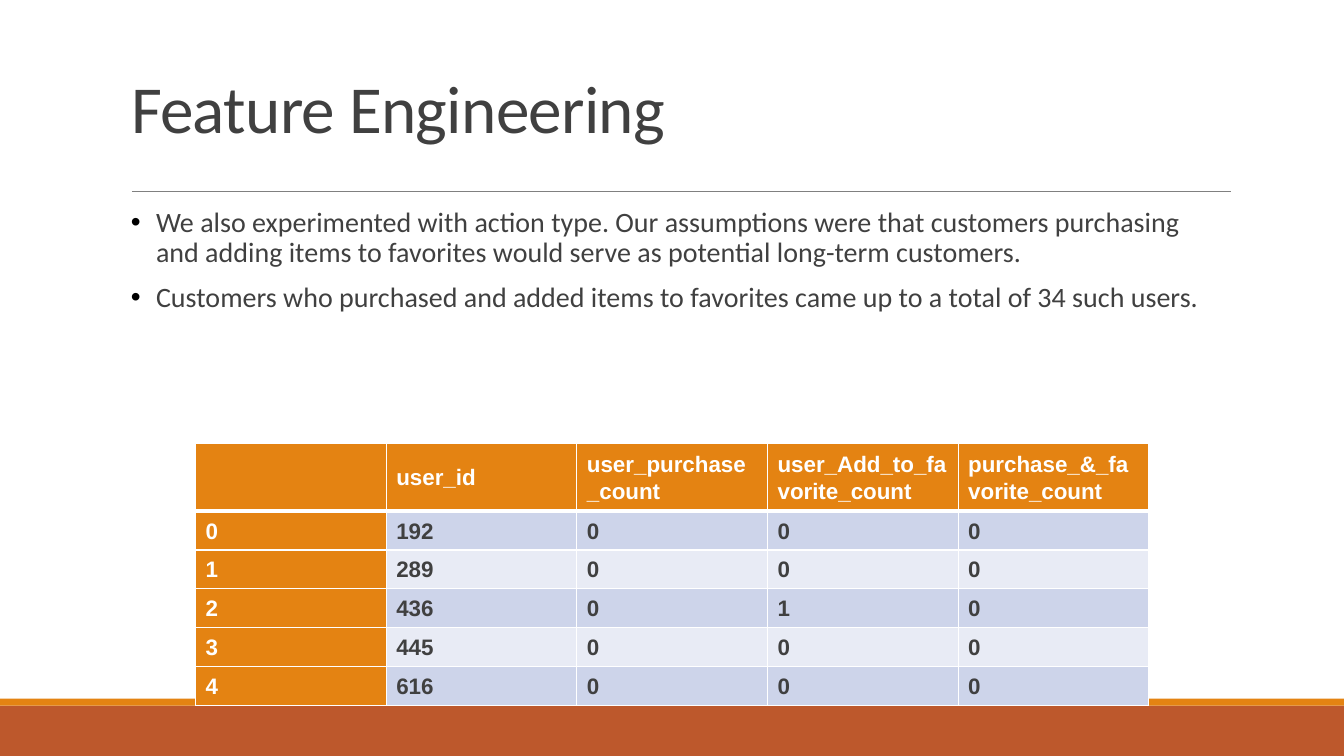
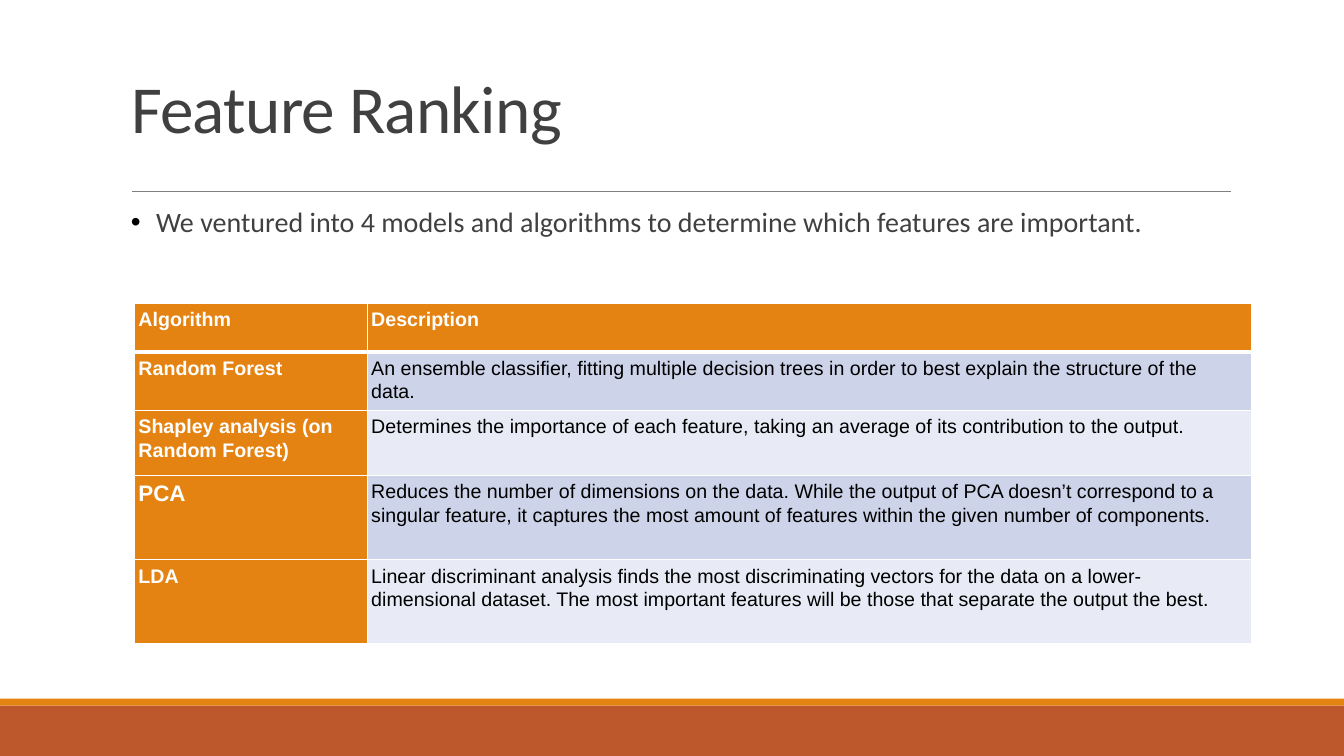
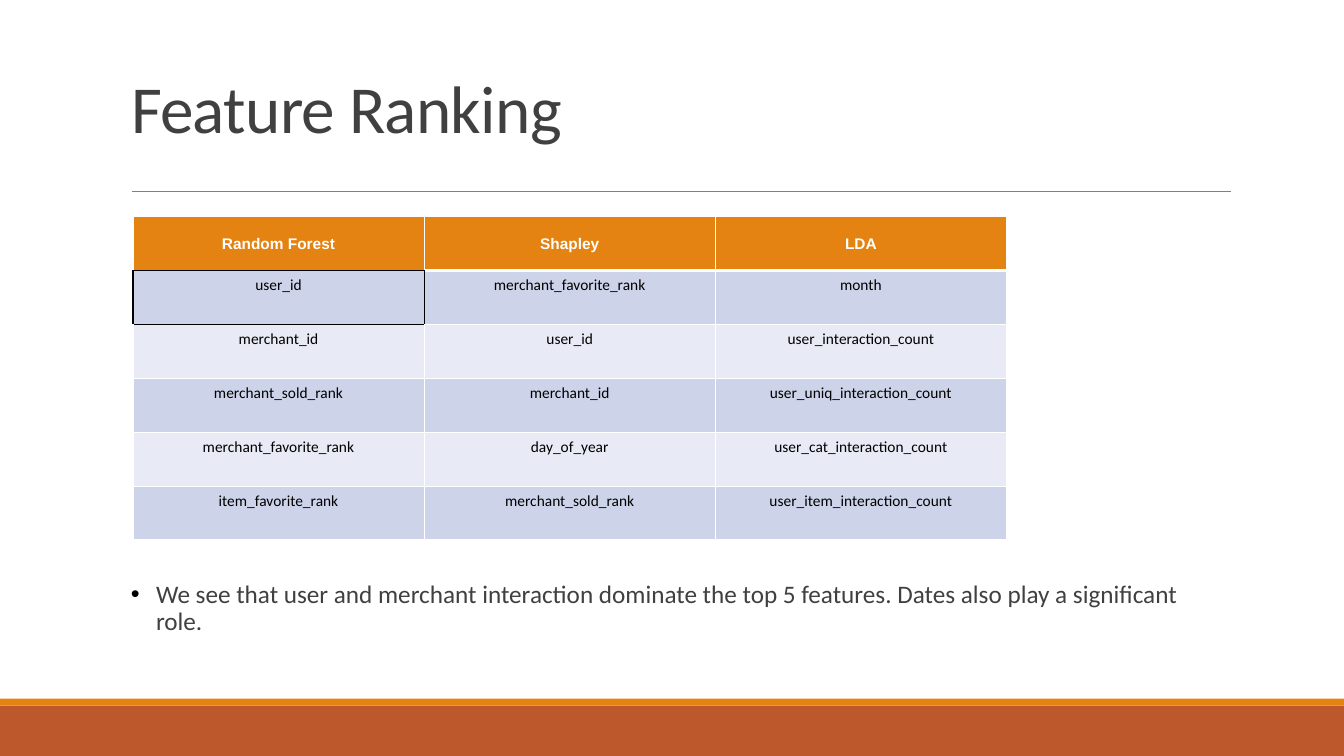
from lxml.etree import SubElement
from pptx import Presentation
from pptx.dml.color import RGBColor
from pptx.enum.shapes import MSO_CONNECTOR, MSO_SHAPE
from pptx.enum.text import MSO_ANCHOR, MSO_AUTO_SIZE, PP_ALIGN
from pptx.oxml.ns import qn
from pptx.util import Pt

# Palette
WHITE = RGBColor(0xFF, 0xFF, 0xFF)
BLACK = RGBColor(0x00, 0x00, 0x00)
DARK = RGBColor(0x40, 0x40, 0x40)
GRAY = RGBColor(0x80, 0x80, 0x80)
ORANGE = RGBColor(0xE4, 0x83, 0x12)
RUST = RGBColor(0xBD, 0x58, 0x2C)
BAND_DARK = RGBColor(0xCD, 0xD4, 0xEA)
BAND_LIGHT = RGBColor(0xE8, 0xEB, 0xF5)

# Page geometry
WIDTH, HEIGHT = 960, 540
LEFT, CONTENT_W = 86.4, 792
RULE_X1, RULE_X2, RULE_Y = 94.3, 879.1, 136.8
BODY_TOP = 145.4

# Text formats
TITLE = {"name": "Calibri", "size": Pt(48), "bold": False}
BODY = {"name": "Calibri", "size": Pt(20), "bold": False}
HEAD = {"name": "Arial", "size": Pt(16), "bold": True}

# Neighbour (row, column) across each cell side
SIDES = {"L": (0, -1), "R": (0, 1), "T": (-1, 0), "B": (1, 0)}


def set_attrs(obj, values):
    for name, value in values.items():
        setattr(obj, name, value)


def format_run(r, fmt, color):
    set_attrs(r.font, fmt)
    r.font.color.rgb = color


def add_xml_color(parent, color):
    fill = SubElement(parent, qn("a:solidFill"))
    SubElement(fill, qn("a:srgbClr"), val=str(color))


def add_band(s, top, height, color):
    sp = s.shapes.add_shape(MSO_SHAPE.RECTANGLE, 0, Pt(top), Pt(WIDTH), Pt(height))
    sp.shadow.inherit = False
    sp.fill.solid()
    sp.fill.fore_color.rgb = color
    sp.line.fill.background()


def add_rule(s):
    line = s.shapes.add_connector(MSO_CONNECTOR.STRAIGHT, Pt(RULE_X1), Pt(RULE_Y),
                                  Pt(RULE_X2), Pt(RULE_Y))
    line.line.color.rgb = GRAY
    line.line.width = Pt(0.5)
    SubElement(line._element.spPr, qn("a:effectLst"))


def add_slide(prs, title):
    """Title slide frame: bands, rule and formatted title."""
    s = prs.slides.add_slide(prs.slide_layouts[5])
    add_band(s, 504, 36, RUST)
    add_band(s, 499, 5, ORANGE)
    add_rule(s)
    sp = s.shapes.title
    set_attrs(sp, {"left": Pt(LEFT), "top": Pt(22.3),
                   "width": Pt(CONTENT_W), "height": Pt(114.5)})
    tf = sp.text_frame
    set_attrs(tf, {"text": title, "word_wrap": True, "auto_size": MSO_AUTO_SIZE.NONE,
                   "vertical_anchor": MSO_ANCHOR.MIDDLE})
    p = tf.paragraphs[0]
    set_attrs(p, {"alignment": PP_ALIGN.LEFT, "line_spacing": 0.9})
    r = p.runs[0]
    format_run(r, TITLE, DARK)
    r._r.get_or_add_rPr().set("spc", "-50")
    return s


def add_bullets(s, texts, top, height, size=20):
    tf = s.shapes.add_textbox(Pt(LEFT), Pt(top), Pt(CONTENT_W), Pt(height)).text_frame
    tf.word_wrap = True
    for i, text in enumerate(texts):
        p = tf.add_paragraph() if i else tf.paragraphs[0]
        set_attrs(p, {"line_spacing": 0.9, "space_before": Pt(10 if i else 0)})
        pPr = p._p.get_or_add_pPr()
        pPr.set("marL", str(Pt(18)))
        pPr.set("indent", str(-Pt(18)))
        SubElement(SubElement(pPr, qn("a:buClr")), qn("a:srgbClr"), val=str(BLACK))
        SubElement(pPr, qn("a:buFont"), typeface="Arial")
        SubElement(pPr, qn("a:buChar"), char="•")
        r = p.add_run()
        r.text = text
        format_run(r, BODY | {"size": Pt(size)}, DARK)


def add_borders(cell, row, col, boxed):
    """White grid, thick under the header, black around the boxed cell."""
    tcPr = cell._tc.get_or_add_tcPr()
    for side, (dr, dc) in SIDES.items():
        black = boxed in ((row, col), (row + dr, col + dc))
        thick = row == 0 and side == "B" and not black
        ln = SubElement(tcPr, qn(f"a:ln{side}"), w=str(Pt(3 if thick else 1)))
        add_xml_color(ln, BLACK if black else WHITE)


def add_table(s, rows, left, top, widths, heights, head, body, body_color,
              margins=(2.9, 2.9), head_col=False, align=PP_ALIGN.LEFT,
              head_anchor=MSO_ANCHOR.MIDDLE, body_anchor=MSO_ANCHOR.TOP,
              boxed=None, sizes=None):
    table = s.shapes.add_table(len(rows), len(widths), Pt(left), Pt(top),
                               Pt(sum(widths)), Pt(sum(heights))).table
    for column, width in zip(table.columns, widths):
        column.width = Pt(width)
    for table_row, height in zip(table.rows, heights):
        table_row.height = Pt(height)
    mx, my = (Pt(m) for m in margins)
    for i, row in enumerate(rows):
        for j, text in enumerate(row):
            cell = table.cell(i, j)
            is_head = i == 0 or (head_col and j == 0)
            set_attrs(cell, {"text": text, "margin_left": mx, "margin_right": mx,
                             "margin_top": my, "margin_bottom": my,
                             "vertical_anchor": body_anchor if i else head_anchor})
            add_borders(cell, i, j, boxed)
            cell.fill.solid()
            band = BAND_DARK if i % 2 else BAND_LIGHT
            cell.fill.fore_color.rgb = ORANGE if is_head else band
            p = cell.text_frame.paragraphs[0]
            set_attrs(p, {"alignment": align, "line_spacing": 1.07})
            for r in p.runs:
                format_run(r, head if is_head else body, WHITE if is_head else body_color)
                if sizes and (i, j) in sizes:
                    r.font.size = Pt(sizes[i, j])


def feature_engineering(prs):
    s = add_slide(prs, "Feature Engineering")
    add_bullets(s, [
        "We also experimented with action type. Our assumptions were that customers "
        "purchasing and adding items to favorites would serve as potential long-term "
        "customers.",
        "Customers who purchased and added items to favorites came up to a total of "
        "34 such users.",
    ], BODY_TOP, 100)
    rows = [
        ("", "user_id", "user_purchase_count", "user_Add_to_favorite_count",
         "purchase_&_favorite_count"),
        ("0", "192", "0", "0", "0"),
        ("1", "289", "0", "0", "0"),
        ("2", "436", "0", "1", "0"),
        ("3", "445", "0", "0", "0"),
        ("4", "616", "0", "0", "0"),
    ]
    add_table(s, rows, 139.7, 316.8, [136.2] * 5, [45.4] + [26.2] * 5, HEAD, HEAD, DARK,
              margins=(7.2, 3.6), head_col=True, body_anchor=MSO_ANCHOR.MIDDLE)


def ranking_algorithms(prs):
    s = add_slide(prs, "Feature Ranking")
    add_bullets(s, ["We ventured into 4 models and algorithms to determine which "
                    "features are important."], BODY_TOP, 40)
    rows = [
        ("Algorithm", "Description"),
        ("Random Forest",
         "An ensemble classifier, fitting multiple decision trees in order to best "
         "explain the structure of the data."),
        ("Shapley analysis (on Random Forest)",
         "Determines the importance of each feature, taking an average of its "
         "contribution to the output."),
        ("PCA",
         "Reduces the number of dimensions on the data. While the output of PCA doesn’t "
         "correspond to a singular feature, it captures the most amount of features "
         "within the given number of components."),
        ("LDA",
         "Linear discriminant analysis finds the most discriminating vectors for the "
         "data on a lower-dimensional dataset. The most important features will be "
         "those that separate the output the best."),
    ]
    head = HEAD | {"size": Pt(14)}
    add_table(s, rows, 96, 216.7, [166.3, 631.5], [34.6, 34.6, 46.6, 60.2, 60.2],
              head, head | {"bold": False}, BLACK, head_col=True,
              head_anchor=MSO_ANCHOR.TOP, sizes={(3, 0): 16})


def ranking_results(prs):
    s = add_slide(prs, "Feature Ranking")
    rows = [
        ("Random Forest", "Shapley", "LDA"),
        ("user_id", "merchant_favorite_rank", "month"),
        ("merchant_id", "user_id", "user_interaction_count"),
        ("merchant_sold_rank", "merchant_id", "user_uniq_interaction_count"),
        ("merchant_favorite_rank", "day_of_year", "user_cat_interaction_count"),
        ("item_favorite_rank", "merchant_sold_rank", "user_item_interaction_count"),
    ]
    size = {"size": Pt(11)}
    add_table(s, rows, 95, 154.8, [208] * 3, [38.5] * 6, HEAD | size, BODY | size, BLACK,
              align=PP_ALIGN.CENTER, boxed=(1, 0))
    add_bullets(s, ["We see that user and merchant interaction dominate the top 5 "
                    "features. Dates also play a significant role."], 412, 50, size=18)


def main():
    prs = Presentation()
    set_attrs(prs, {"slide_width": Pt(WIDTH), "slide_height": Pt(HEIGHT)})
    feature_engineering(prs)
    ranking_algorithms(prs)
    ranking_results(prs)
    prs.save("out.pptx")


if __name__ == "__main__":
    main()
